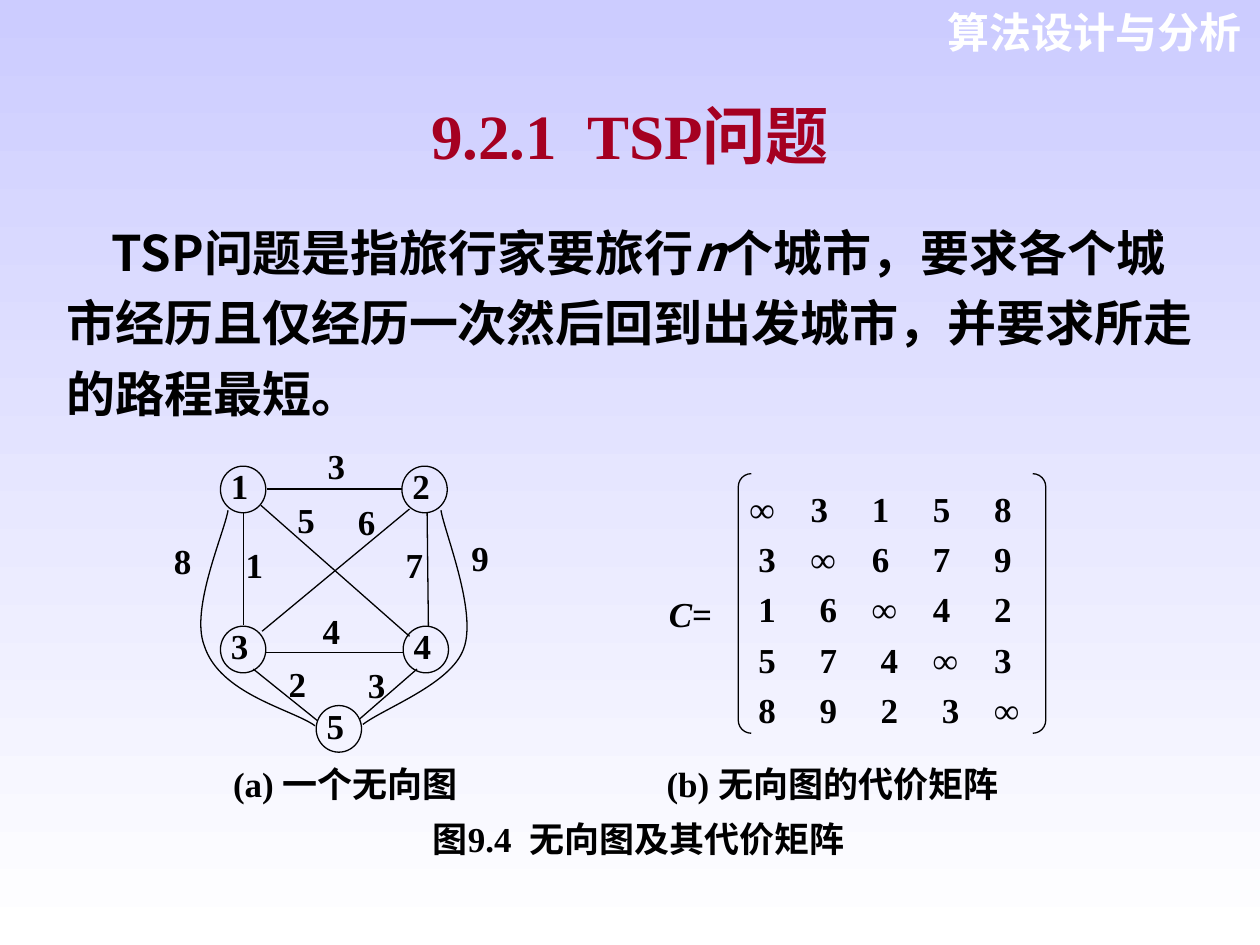
from dataclasses import dataclass
from lxml.etree import SubElement
from pptx import Presentation
from pptx.dml.color import RGBColor
from pptx.enum.shapes import MSO_CONNECTOR, MSO_SHAPE
from pptx.enum.text import MSO_ANCHOR, PP_ALIGN
from pptx.oxml.ns import qn
from pptx.util import Inches, Pt


@dataclass(frozen=True)
class Theme:
    ink: RGBColor = RGBColor(0, 0, 0)
    white: RGBColor = RGBColor(255, 255, 255)
    title: RGBColor = RGBColor(0xA5, 0, 0x21)
    sky: RGBColor = RGBColor(0xCC, 0xCC, 0xFF)
    serif: str = "Times New Roman"
    sans: str = "Arial"
    cjk: str = "Noto Sans CJK SC"
    label: int = 20
    header: int = 24
    body: int = 28
    heading: int = 36
    hairline: float = 0.75


T = Theme()


def write(s, paragraphs, size=T.label, font=T.serif, color=T.ink,
          align=PP_ALIGN.LEFT, spacing=1.0, insets=(0, 0, 0, 0)):
    tf = s.text_frame
    sides = ("margin_left", "margin_top", "margin_right", "margin_bottom")
    frame = dict(zip(sides, map(Inches, insets)))
    frame |= {"word_wrap": True, "vertical_anchor": MSO_ANCHOR.TOP}
    for name, value in frame.items():
        setattr(tf, name, value)
    for i, (runs, tabs) in enumerate(paragraphs):
        p = tf.paragraphs[0] if i == 0 else tf.add_paragraph()
        p.alignment, p.line_spacing = align, spacing
        if tabs:
            stops = SubElement(p._p.get_or_add_pPr(), qn("a:tabLst"))
            for x in tabs:
                SubElement(stops, qn("a:tab"), pos=str(Inches(x)), algn="l")
        for text, italic in runs:
            r = p.add_run()
            r.text = text
            style = {"size": Pt(size), "name": font, "bold": True, "italic": italic}
            for name, value in style.items():
                setattr(r.font, name, value)
            r.font.color.rgb = color
            SubElement(r._r.get_or_add_rPr(), qn("a:ea"), typeface=T.cjk)
    return tf


def outline(s):
    s.line.color.rgb = T.ink
    s.line.width = Pt(T.hairline)
    if hasattr(s, "fill"):
        s.fill.background()
        s.shadow.inherit = False
    else:
        SubElement(s._element.spPr, qn("a:effectLst"))


prs = Presentation()
prs.slide_width, prs.slide_height = Inches(10), Inches(7.5)
slide = prs.slides.add_slide(prs.slide_layouts[6])
shapes = slide.shapes

fill = slide.background.fill
fill.gradient()
fill.gradient_angle = 270
for stop, color, position in zip(fill.gradient_stops, (T.sky, T.white), (0, 1)):
    stop.color.rgb, stop.position = color, position

PAD = (0.1, 0.05, 0.1, 0.05)
s = shapes.add_textbox(*map(Inches, (7.24, 0, 2.71, 0.5)))
write(s, [([("算法设计与分析", False)], ())], T.header, T.sans, T.white,
      PP_ALIGN.RIGHT, insets=PAD)

s = shapes.add_textbox(*map(Inches, (1.75, 0.72, 6.5, 0.7)))
write(s, [([("9.2.1  TSP问题", False)], ())], T.heading, color=T.title,
      align=PP_ALIGN.CENTER, insets=PAD)

s = shapes.add_textbox(*map(Inches, (0.43, 1.62, 9.29, 1.78)))
definition = [
    ("TSP问题是指旅行家要旅行", False),
    ("n", True),
    ("个城市，要求各个城市经历且仅经历一次然后回到出发城市，并要求所走的路程最短。", False),
]
tf = write(s, [(definition, ())], T.body, T.cjk, spacing=1.2, insets=PAD)
tf.paragraphs[0]._p.get_or_add_pPr().set("indent", str(Inches(0.36)))

nodes = {"1": (1.75, 3.7), "2": (3.19, 3.7), "3": (1.75, 4.97),
         "4": (3.2, 4.97), "5": (2.51, 5.6)}
for name, (x, y) in nodes.items():
    s = shapes.add_shape(MSO_SHAPE.OVAL, *map(Inches, (x, y, 0.36, 0.37)))
    outline(s)
    write(s, [([(name, False)], ())], spacing=0.8, insets=(0.03, 0, 0, 0))

edges = [
    (2.12, 3.88, 3.19, 3.88), (1.93, 4.07, 1.93, 4.96),
    (2.07, 4.01, 3.25, 5.05), (3.39, 4.07, 3.4, 4.97),
    (2.08, 5.01, 3.25, 4.04), (2.11, 5.18, 3.2, 5.18),
    (2.01, 5.31, 2.52, 5.72), (2.85, 5.71, 3.31, 5.31),
]
for edge in edges:
    outline(shapes.add_connector(MSO_CONNECTOR.STRAIGHT, *map(Inches, edge)))

arcs = [
    [(1.81, 4.05), (1.78, 4.23), (1.51, 4.83), (1.62, 5.12),
     (1.74, 5.51), (2.32, 5.63), (2.5, 5.76)],
    [(3.5, 4.05), (3.53, 4.23), (3.79, 4.86), (3.68, 5.15),
     (3.58, 5.43), (3.05, 5.62), (2.88, 5.75)],
]
for arc in arcs:
    start, *points = [(Inches(x), Inches(y)) for x, y in arc]
    builder = shapes.build_freeform(*start)
    builder.add_line_segments(points, close=False)
    s = builder.convert_to_shape()
    outline(s)
    route = next(s._element.iter(qn("a:path")))
    for i, segment in enumerate(route.findall(qn("a:lnTo"))):
        if i % 3 == 0:
            curve = SubElement(route, qn("a:cubicBezTo"))
        curve.append(segment[0])
        route.remove(segment)

weights = [
    ("2", 2.29, 5.32), ("7", 3.22, 4.38), ("1", 1.95, 4.38), ("5", 2.36, 4.02),
    ("6", 2.84, 4.04), ("3", 2.92, 5.33), ("3", 2.6, 3.59), ("9", 3.74, 4.32),
    ("8", 1.38, 4.35), ("4", 2.56, 4.9),
]
for weight, x, y in weights:
    s = shapes.add_textbox(*map(Inches, (x, y, 0.19, 0.24)))
    write(s, [([(weight, False)], ())], spacing=0.8)

s = shapes.add_textbox(*map(Inches, (5.21, 4.7, 0.6, 0.32)))
write(s, [([("C", True), ("=", False)], ())], insets=(0.1, 0, 0, 0))

costs = ["∞3158", "3∞679", "16∞42", "574∞3", "8923∞"]
rows = []
for i, row in enumerate(costs):
    tabs = [0.07 + 0.97 * j / 2 - 0.07 * (j >= i) for j in range(len(row))]
    text = "\t".join(row)
    rows.append(([("\t" + text if i else text, False)], tabs if i else tabs[1:]))
s = shapes.add_shape(MSO_SHAPE.DOUBLE_BRACKET, *map(Inches, (5.86, 3.76, 2.44, 2.06)))
s.adjustments[0] = 0.05
outline(s)
write(s, rows, spacing=1.2, insets=(0.06, 0.01, 0.02, 0.01))

s = shapes.add_textbox(*map(Inches, (1.85, 6.05, 6.44, 0.97)))
captions = [
    ([("(a) 一个无向图\t(b) 无向图的代价矩阵", False)], (3.44,)),
    ([("图9.4  无向图及其代价矩阵", False)], ()),
]
tf = write(s, captions)
tf.paragraphs[1].alignment = PP_ALIGN.CENTER
tf.paragraphs[1].space_before = Pt(7.7)

prs.save("out.pptx")
